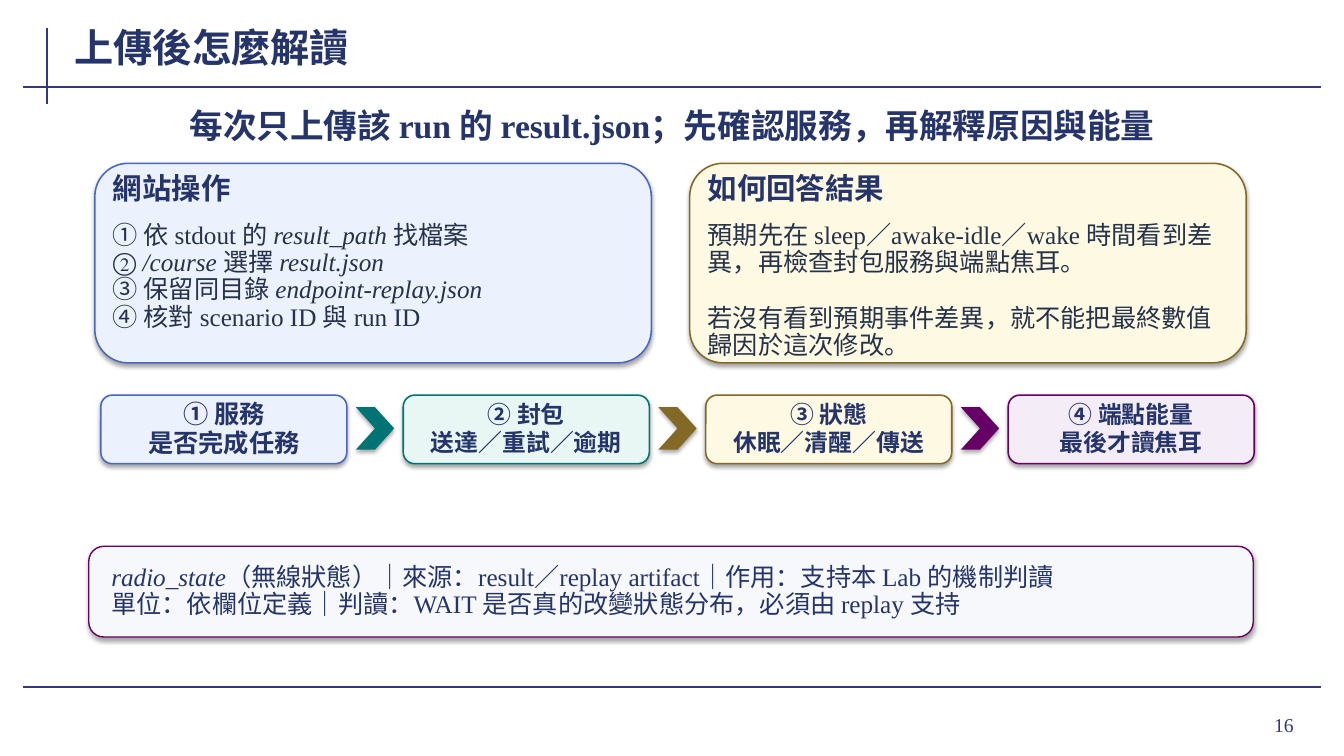
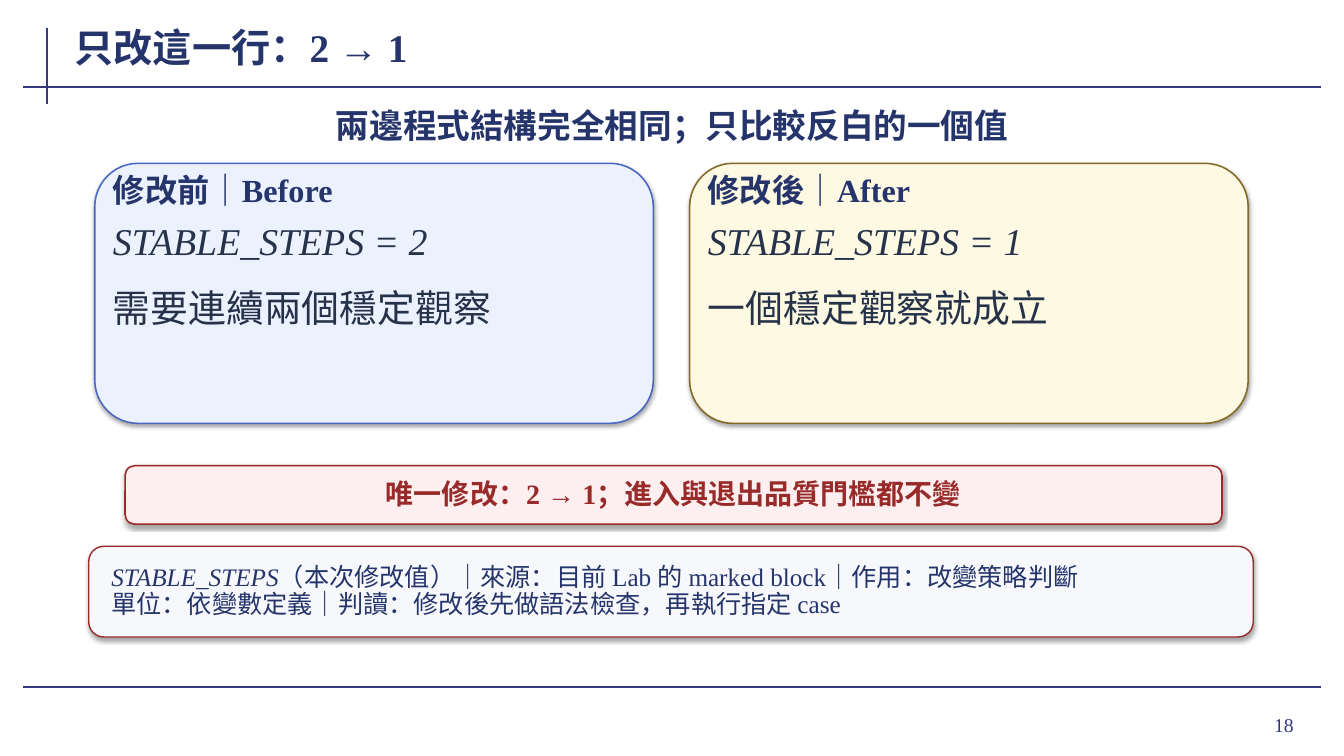
"""Builds two lab slides: how to read an uploaded result, and a one-line change."""
from lxml import etree
from pptx import Presentation
from pptx.dml.color import RGBColor
from pptx.enum.shapes import MSO_CONNECTOR, MSO_SHAPE
from pptx.enum.text import MSO_ANCHOR, PP_ALIGN
from pptx.oxml import parse_xml
from pptx.oxml.ns import nsdecls, qn
from pptx.util import Pt

PX = 9144
FONT = "Times New Roman"
ROUNDED, CHEVRON = MSO_SHAPE.ROUNDED_RECTANGLE, MSO_SHAPE.CHEVRON
STRAIGHT = MSO_CONNECTOR.STRAIGHT
TOP, MIDDLE = MSO_ANCHOR.TOP, MSO_ANCHOR.MIDDLE
LEFT, CENTER, RIGHT = PP_ALIGN.LEFT, PP_ALIGN.CENTER, PP_ALIGN.RIGHT
COLORS = {
    "rule": "35377F", "navy": "25356B", "ink": "25324A", "mist": "F7F8FC",
    "blue": "4967C2", "blue_tint": "ECF1FE", "gold": "846826", "gold_tint": "FDF9E2",
    "teal": "007374", "teal_tint": "E8F7F4", "purple": "660066", "purple_tint": "F4EDF7",
    "red": "992A2A", "red_tint": "FDEFEF",
}
SHADOW = (
    f'<a:outerShdw {nsdecls("a")} blurRad="39370" dist="22860" dir="5400000" rotWithShape="0">'
    '<a:srgbClr val="000000"><a:alpha val="35000"/></a:srgbClr></a:outerShdw>'
)
RULES = [(47, 28, 47, 103), (23, 86, 1310, 86), (23, 682, 1310, 682)]
CARD_LEFTS = (94, 684)
CARD_HUES = ("blue", "gold")

SLIDES = [
    {
        "number": "16",
        "title": "上傳後怎麼解讀",
        "message": "每次只上傳該 run 的 result.json；先確認服務，再解釋原因與能量",
        "card_size": (552, 198), "heading_size": 21, "body_size": 18, "gap": 0,
        "cards": [
            ("網站操作", ["① 依 stdout 的 *result_path* 找檔案", "② */course* 選擇 *result.json*",
                      "③ 保留同目錄 *endpoint-replay.json*", "④ 核對 scenario ID 與 run ID"], 0),
            ("如何回答結果", ["預期先在 sleep／awake-idle／wake 時間看到差異，再檢查封包服務與端點焦耳。",
                        "若沒有看到預期事件差異，就不能把最終數值歸因於這次修改。"], 20),
        ],
        "steps": [
            (["① 服務", "是否完成任務"], 18, "blue"),
            (["② 封包", "送達／重試／逾期"], 17, "teal"),
            (["③ 狀態", "休眠／清醒／傳送"], 17, "gold"),
            (["④ 端點能量", "最後才讀焦耳"], 17, "purple"),
        ],
        "callout": None,
        "glossary": ["*radio_state*（無線狀態）｜來源：result／replay artifact｜作用：支持本 Lab 的機制判讀",
                     "單位：依欄位定義｜判讀：WAIT 是否真的改變狀態分布，必須由 replay 支持"],
        "glossary_hue": "purple",
    },
    {
        "number": "18",
        "title": "只改這一行：2 → 1",
        "message": "兩邊程式結構完全相同；只比較反白的一個值",
        "card_size": (554, 258), "heading_size": 23, "body_size": 27,
        "cards": [
            ("修改前｜Before", ["*STABLE_STEPS = 2*", "需要連續兩個穩定觀察"], 19),
            ("修改後｜After", ["*STABLE_STEPS = 1*", "一個穩定觀察就成立"], 19),
        ],
        "steps": [],
        "callout": "唯一修改：2 → 1；進入與退出品質門檻都不變",
        "glossary": ["*STABLE_STEPS*（本次修改值）｜來源：目前 Lab 的 marked block｜作用：改變策略判斷",
                     "單位：依變數定義｜判讀：修改後先做語法檢查，再執行指定 case"],
        "glossary_hue": "red",
    },
]


def panel(slide, preset, box, fill, edge=None, weight=1.1):
    """Adds a filled shape with the soft shadow."""
    shape = slide.shapes.add_shape(preset, *(PX * value for value in box))
    shape.fill.solid()
    shape.fill.fore_color.rgb = RGBColor.from_string(COLORS[fill])
    if edge:
        shape.line.color.rgb = RGBColor.from_string(COLORS[edge])
        shape.line.width = Pt(weight)
    else:
        shape.line.fill.background()
    shape.shadow.inherit = False
    shape._element.spPr.find(qn("a:effectLst")).append(parse_xml(SHADOW))
    return shape


def write(holder, lines, size, color="navy", bold=False, align=LEFT, anchor=MIDDLE,
          inset=(2, 1), spacing=1.0, gap=0):
    """Writes lines into a shape or, given (slide, box), a new text box; asterisks mark italics."""
    if isinstance(holder, tuple):
        slide, box = holder
        holder = slide.shapes.add_textbox(*(PX * value for value in box))
    frame = holder.text_frame
    frame.word_wrap = True
    frame.vertical_anchor = anchor
    frame.margin_left = frame.margin_right = PX * inset[0]
    frame.margin_top = frame.margin_bottom = PX * inset[1]
    for index, line in enumerate(lines):
        paragraph = frame.add_paragraph() if index else frame.paragraphs[0]
        paragraph.alignment = align
        paragraph.line_spacing = spacing
        if index and gap:
            paragraph.space_before = Pt(gap)
        for part, words in enumerate(line.split("*")):
            if words:
                run = paragraph.add_run()
                run.text = words
                run.font.name = FONT
                run.font.size = Pt(size)
                run.font.bold = bold
                run.font.italic = part % 2 == 1
                run.font.color.rgb = RGBColor.from_string(COLORS[color])


deck = Presentation()
deck.slide_width, deck.slide_height = 1333 * PX, 750 * PX

for content in SLIDES:
    slide = deck.slides.add_slide(deck.slide_layouts[6])

    for ends in RULES:
        rule = slide.shapes.add_connector(STRAIGHT, *(PX * value for value in ends))
        rule.line.color.rgb = RGBColor.from_string(COLORS["rule"])
        rule.line.width = Pt(1.5)
        etree.SubElement(rule._element.spPr, qn("a:effectLst"))
    write((slide, (1196, 693, 97, 52)), [content["number"]], 14, "rule", align=RIGHT, inset=(10, 5))
    write((slide, (72, 20, 1035, 53)), [content["title"]], 28, bold=True, inset=(2, 0))
    write((slide, (94, 98, 1145, 52)), [content["message"]], 24, bold=True, align=CENTER)

    width, height = content["card_size"]
    for left, hue, (heading, body, gap) in zip(CARD_LEFTS, CARD_HUES, content["cards"]):
        panel(slide, ROUNDED, (left, 162, width, height), hue + "_tint", hue)
        write((slide, (left + 16, 172, width - 32, 46)), [heading], content["heading_size"],
              bold=True, anchor=TOP, spacing=0.9)
        write((slide, (left + 16, 220, width - 32, height - 66)), body, content["body_size"],
              "ink", anchor=TOP, spacing=0.9, gap=gap)

    for index, (lines, size, hue) in enumerate(content["steps"]):
        left = 100 + 300 * index
        if index:
            panel(slide, CHEVRON, (left - 47, 404, 38, 42), hue)
        step = panel(slide, ROUNDED, (left, 392, 244, 68), hue + "_tint", hue)
        write(step, lines, size, bold=True, align=CENTER, inset=(12, 4), spacing=0.95)

    if content["callout"]:
        callout = panel(slide, ROUNDED, (124, 462, 1088, 58), "red_tint", "red")
        write(callout, [content["callout"]], 20, "red", bold=True, align=CENTER,
              inset=(12, 4), spacing=0.95)

    glossary = panel(slide, ROUNDED, (88, 542, 1155, 90), "mist", content["glossary_hue"], 1)
    write(glossary, content["glossary"], 18, inset=(18, 3), spacing=0.9)

deck.save("out.pptx")
